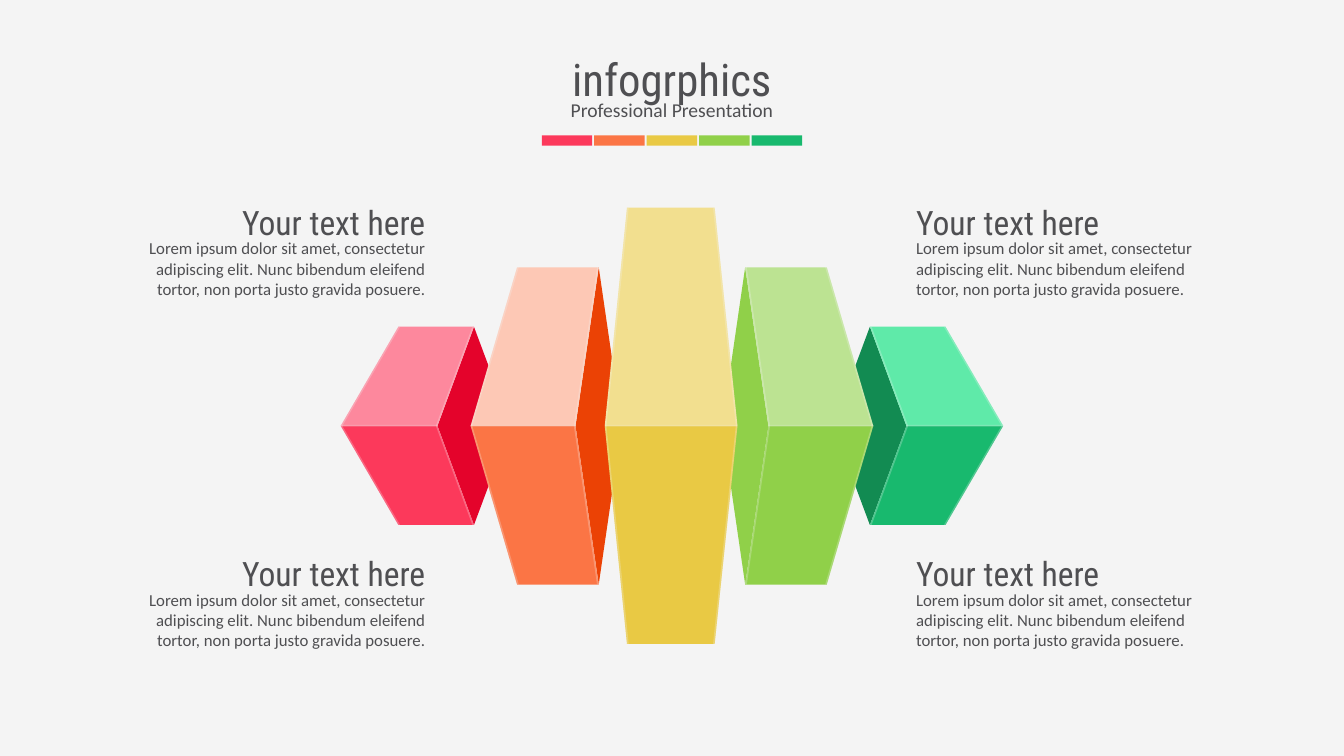
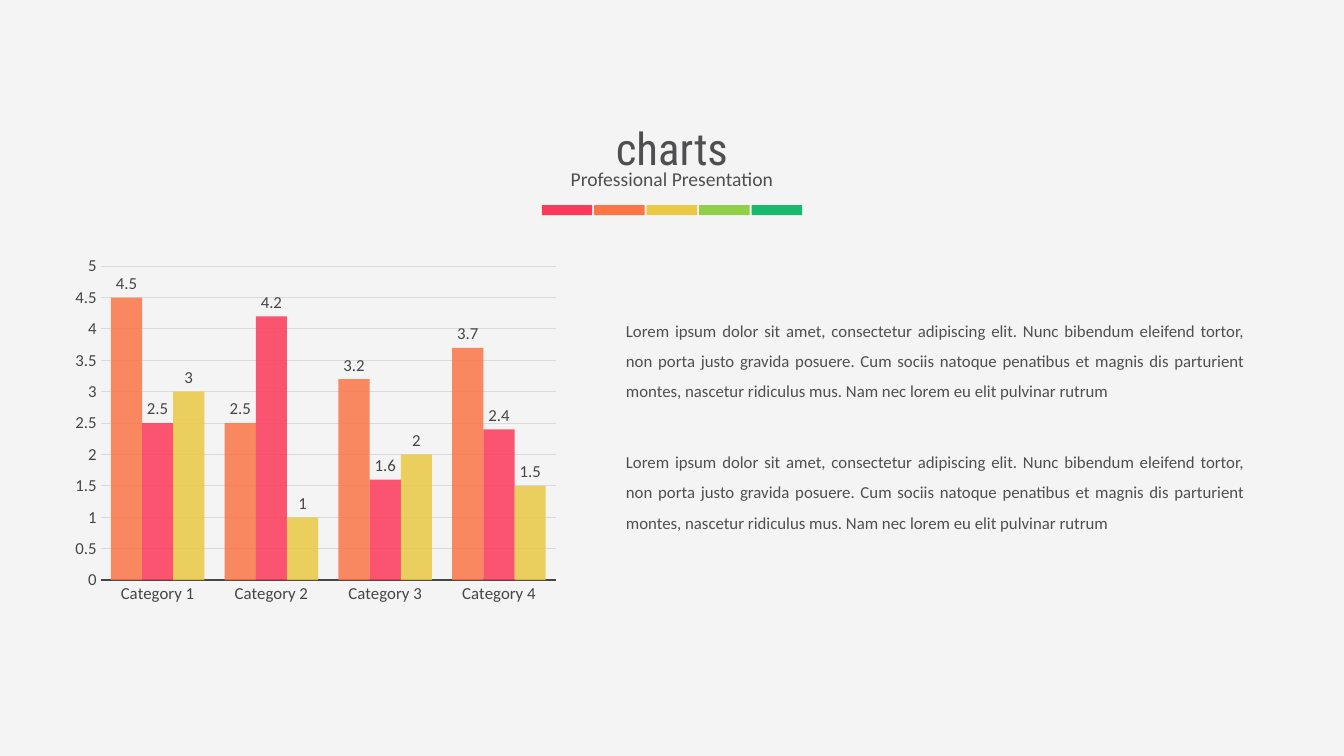
from lxml.etree import SubElement
from pptx import Presentation
from pptx.chart.data import CategoryChartData
from pptx.dml.color import RGBColor
from pptx.enum.chart import XL_CHART_TYPE as ChartType, XL_LABEL_POSITION as LabelPos, XL_TICK_MARK as Tick
from pptx.enum.shapes import MSO_SHAPE as Preset
from pptx.enum.text import MSO_ANCHOR as Anchor, MSO_AUTO_SIZE as AutoSize, PP_ALIGN as Align
from pptx.oxml import parse_xml
from pptx.oxml.ns import nsdecls, qn
from pptx.util import Pt

WIDTH, HEIGHT = 960, 540
BACKGROUND, INK, AXIS_INK, GRID = "F4F4F4", "4F4F52", "454545", "DADADA"
RED, ORANGE, YELLOW, GREEN, TEAL = PALETTE = ["FC395B", "FB7545", "E9C944", "90D049", "18B96E"]
HEADING_FONT, BODY_FONT = "Roboto Condensed", "Calibri"

TITLES = [("infogrphics", 33.1), ("charts", 82.8)]
SUBTITLE = "Professional Presentation"
CAPTION_HEADING = "Your text here"
CAPTION_BODY = ("Lorem ipsum dolor sit amet, consectetur adipiscing elit. "
                "Nunc bibendum eleifend tortor, non porta justo gravida posuere.")
LONG_BODY = (CAPTION_BODY + " Cum sociis natoque penatibus et magnis dis parturient montes, "
             "nascetur ridiculus mus. Nam nec lorem eu elit pulvinar rutrum")
CAPTION_COLUMNS = [(82.8, Align.RIGHT), (647.3, Align.LEFT)]
CAPTION_TOPS = [140.4, 391.2]

MIDDLE, EDGE = 304.2, 1.2
RED_OUTLINE = dict(outer=243.4, far=284.6, near=338.6, inner=312.5, side=365, half=70.8)
ORANGE_OUTLINE = dict(outer=336.2, far=369.4, near=427.7, inner=411.1, side=444.2, half=113.3)
YELLOW_OUTLINE = dict(outer=432, far=447.9, near=510.5, inner=526.8, side=None, half=155.8)
BLOCKS = [
    (RED_OUTLINE, False, "FD889D", RED, "E4032B"),
    (ORANGE_OUTLINE, False, "FDC8B5", ORANGE, "EB4205"),
    (RED_OUTLINE, True, "5FEAA9", TEAL, "128B52"),
    (ORANGE_OUTLINE, True, "BCE392", GREEN, GREEN),
    (YELLOW_OUTLINE, False, "F2DF8F", YELLOW, None),
]

CATEGORIES = ["Category 1", "Category 2", "Category 3", "Category 4"]
SERIES = [
    ("Series 1", [4.5, 2.5, 3.2, 3.7], ORANGE),
    ("Series 2", [2.5, 4.2, 1.6, 2.4], RED),
    ("Series 3", [3, 1, 2, 1.5], YELLOW),
]
PLOT_AREA = dict(x=0.055, y=0.051, w=0.78, h=0.833)


def rgb(code):
    return RGBColor.from_string(code)


def apply(target, **values):
    for name, value in values.items():
        setattr(target, name, value)


def style_font(font, size, face, color):
    apply(font, size=Pt(size), name=face)
    font.color.rgb = rgb(color)


def place(shape, left, top, width, height):
    apply(shape, left=Pt(left), top=Pt(top), width=Pt(width), height=Pt(height))


def write(shape, texts, size, face, align, gap=0, spacing=1.0):
    frame = shape.text_frame
    apply(frame, word_wrap=True, auto_size=AutoSize.NONE, vertical_anchor=Anchor.TOP)
    for index, text in enumerate(texts):
        paragraph = frame.add_paragraph() if index else frame.paragraphs[0]
        properties = paragraph._p.get_or_add_pPr()
        apply(paragraph, alignment=align, line_spacing=spacing, space_before=Pt(gap if index else 0))
        properties.set("marL", "0")
        properties.set("indent", "0")
        SubElement(properties, qn("a:buNone"))
        run = paragraph.add_run()
        run.text = text
        style_font(run.font, size, face, INK)


def add_text(slide, box, text, size, face, align):
    write(slide.shapes.add_textbox(*map(Pt, box)), [text], size, face, align)


def paint(shape, color):
    shape.shadow.inherit = False
    shape.fill.solid()
    shape.fill.fore_color.rgb = rgb(color)
    shape.line.fill.background()


def fade(node, percent):
    for color in node.iter(qn("a:srgbClr")):
        SubElement(color, qn("a:alpha")).set("val", str(percent * 1000))


def add_header(slide, title, top):
    place(slide.shapes.title, 0, top, WIDTH, 46)
    write(slide.shapes.title, [title], 32, HEADING_FONT, Align.CENTER)
    add_text(slide, (49, top + 33.2, 862, 24.5), SUBTITLE, 14, BODY_FONT, Align.CENTER)
    width, gap = 36, 1.5
    left = (WIDTH - len(PALETTE) * (width + gap) + gap) / 2
    for index, color in enumerate(PALETTE):
        box = left + index * (width + gap), top + 63.7, width, 7.2
        paint(slide.shapes.add_shape(Preset.RECTANGLE, *map(Pt, box)), color)


def add_outline(slide, points, mirrored, color):
    corners = [(Pt(WIDTH - x if mirrored else x), Pt(MIDDLE + y)) for x, y in points]
    builder = slide.shapes.build_freeform(*corners[0], scale=1.0)
    builder.add_line_segments(corners[1:], close=True)
    outline = builder.convert_to_shape()
    paint(outline, color)
    return outline


def add_faces(slide, block, mirrored, upper, lower, side_color):
    outer, far, near, inner, side, half = block.values()
    if side:
        add_outline(slide, [(inner, 0), (near, -half), (side, 0), (near, half)], mirrored, side_color)
    for reach, color in ((-half, upper), (half, lower)):
        add_outline(slide, [(outer, 0), (far, reach), (near, reach), (inner, 0)], mirrored, color)


def add_highlights(slide, block, mirrored):
    outer, far, near, inner, _, half = block.values()
    strips = [[(outer, -EDGE / 2), (inner, -EDGE / 2), (inner, EDGE / 2), (outer, EDGE / 2)]]
    for middle, end, shift in ((outer, far, EDGE), (inner, near, -EDGE)):
        strips.append([(middle, 0), (end, -half), (end + shift, -half),
                       (middle + shift, 0), (end + shift, half), (end, half)])
    for strip in strips:
        fade(add_outline(slide, strip, mirrored, BACKGROUND).element, 25)


def add_captions(slide):
    for left, align in CAPTION_COLUMNS:
        for top in CAPTION_TOPS:
            add_text(slide, (left, top + 26.2, 228.2, 51), CAPTION_BODY, 12, BODY_FONT, align)
            add_text(slide, (left, top, 228.2, 36), CAPTION_HEADING, 24, HEADING_FONT, align)


def add_columns(slide):
    data = CategoryChartData()
    data.categories = CATEGORIES
    for name, values, _ in SERIES:
        data.add_series(name, values)
    box = map(Pt, (49, 176.4, 416.9, 269.3))
    chart = slide.shapes.add_chart(ChartType.COLUMN_CLUSTERED, *box, data).chart
    apply(chart, has_legend=False, has_title=False)
    style_font(chart.font, 12, BODY_FONT, AXIS_INK)

    category_axis, value_axis = chart.category_axis, chart.value_axis
    for axis in (category_axis, value_axis):
        apply(axis, major_tick_mark=Tick.NONE, minor_tick_mark=Tick.NONE)
        style_font(axis.tick_labels.font, 12, BODY_FONT, AXIS_INK)
    apply(value_axis, minimum_scale=0, maximum_scale=5, major_unit=0.5, has_major_gridlines=True)
    value_axis.format.line.fill.background()
    for line, color, width in ((category_axis.format.line, AXIS_INK, 1.5),
                               (value_axis.major_gridlines.format.line, GRID, 0.75)):
        line.color.rgb = rgb(color)
        line.width = Pt(width)

    plot = chart.plots[0]
    apply(plot, gap_width=65, overlap=0, vary_by_categories=False, has_data_labels=True)
    apply(plot.data_labels, show_value=True, position=LabelPos.OUTSIDE_END)
    style_font(plot.data_labels.font, 12, BODY_FONT, AXIS_INK)
    for series, (_, _, color) in zip(plot.series, SERIES):
        series.invert_if_negative = False
        series.format.fill.solid()
        series.format.fill.fore_color.rgb = rgb(color)

    root = chart.element
    for fill in root.findall(f".//{qn('c:ser')}/{qn('c:spPr')}"):
        fade(fill, 85)
    area = root.find(f".//{qn('c:plotArea')}")
    for layout in area.findall(qn("c:layout")):
        area.remove(layout)
    modes = '<c:layoutTarget val="inner"/><c:xMode val="edge"/><c:yMode val="edge"/>'
    sizes = "".join(f'<c:{key} val="{value}"/>' for key, value in PLOT_AREA.items())
    area.insert(0, parse_xml(f"<c:layout {nsdecls('c')}><c:manualLayout>{modes}{sizes}"
                             "</c:manualLayout></c:layout>"))


def main():
    prs = Presentation()
    apply(prs, slide_width=Pt(WIDTH), slide_height=Pt(HEIGHT))
    backdrop = prs.slide_master.background.fill
    backdrop.solid()
    backdrop.fore_color.rgb = rgb(BACKGROUND)

    infographic = prs.slides.add_slide(prs.slide_layouts[5])
    charts = prs.slides.add_slide(prs.slide_layouts[1])
    for slide, (title, top) in zip((infographic, charts), TITLES):
        add_header(slide, title, top)

    for block in BLOCKS:
        add_faces(infographic, *block)
    for outline, mirrored, *_ in BLOCKS:
        add_highlights(infographic, outline, mirrored)
    add_captions(infographic)

    add_columns(charts)
    body = charts.placeholders[1]
    place(body, 439.9, 218.2, 456.5, 168)
    write(body, [LONG_BODY] * 2, 12, BODY_FONT, Align.JUSTIFY, gap=29, spacing=1.5)

    prs.save("out.pptx")


if __name__ == "__main__":
    main()
